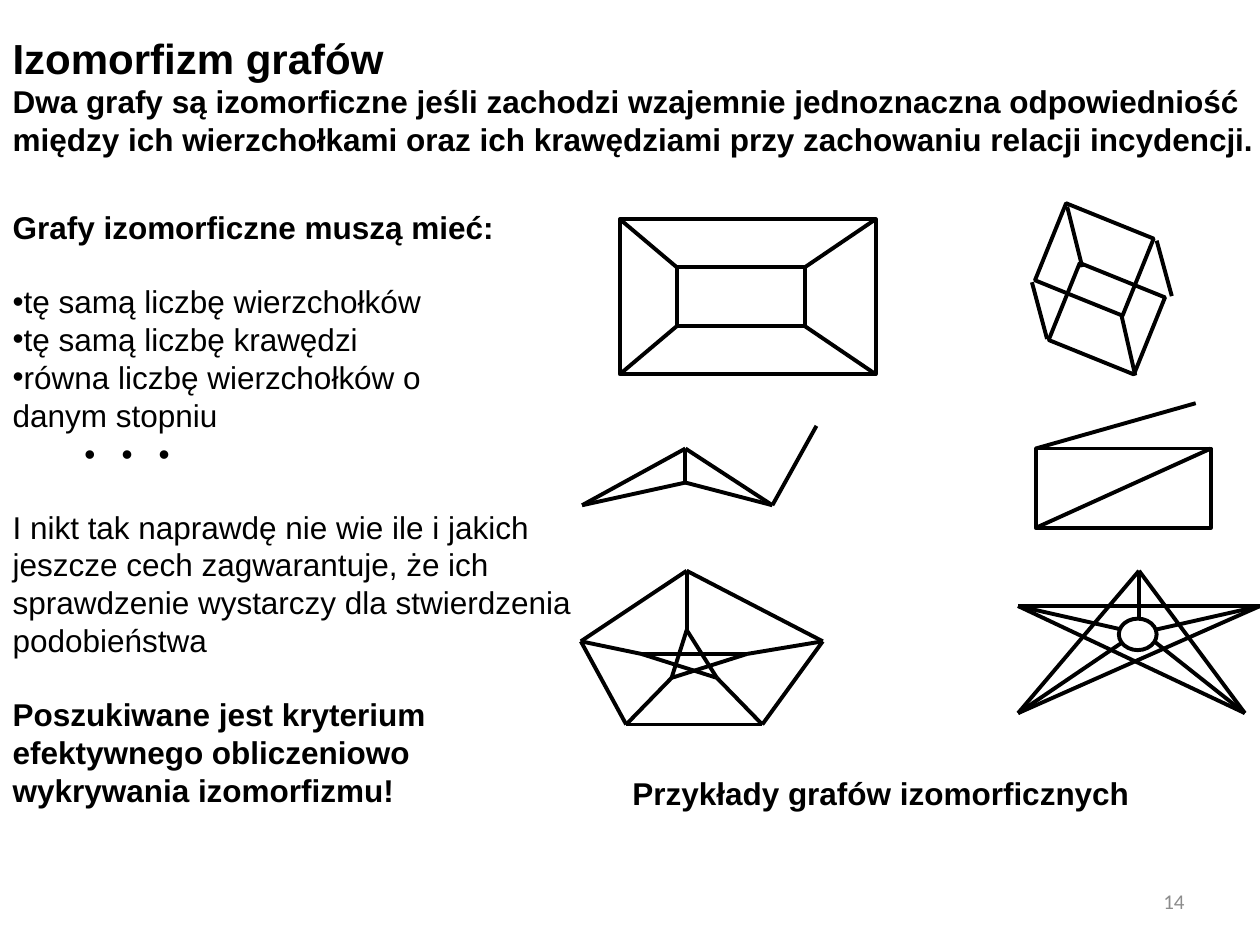
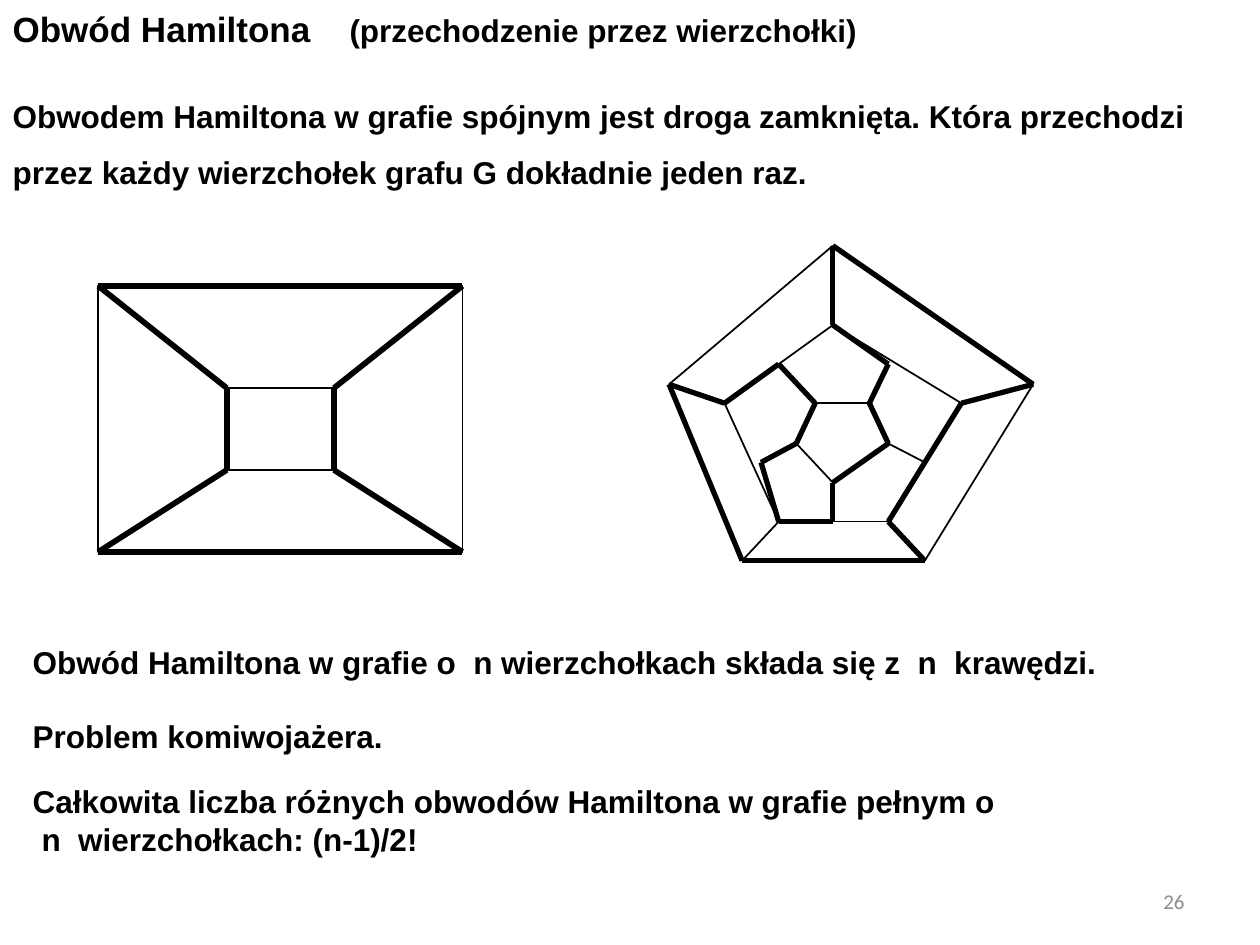
from dataclasses import dataclass

import pptx
import pptx.dml.color
import pptx.enum.shapes
import pptx.enum.text
import pptx.oxml.ns
import pptx.util
from lxml import etree

Inches = pptx.util.Inches
Pt = pptx.util.Pt
Shape = pptx.enum.shapes.MSO_SHAPE
Anchor = pptx.enum.text.MSO_ANCHOR
Align = pptx.enum.text.PP_ALIGN
qn = pptx.oxml.ns.qn

BLACK, WHITE, GREY = "000000", "FFFFFF", "8C8C8C"
TITLE_AND_CONTENT = 1
BLANK_LINE = 20.7  # height of an 18 pt line, in points


@dataclass
class Line:
    text: str
    size: float = 18
    bold: bool = True
    gap: float = 0
    spacing: float = 1.0
    bullet: bool = False
    indent: float = 0
    tracking: float = 0


def color(hex_code):
    return pptx.dml.color.RGBColor.from_string(hex_code)


# Text
def style_run(run, size=18, bold=True, font="Arial", ink=BLACK, tracking=0):
    run.font.size = Pt(size)
    run.font.bold = bold
    run.font.name = font
    run.font.color.rgb = color(ink)
    if tracking:
        run.font._element.set("spc", str(round(tracking * 100)))


def set_bullet(paragraph, bullet, indent):
    properties = paragraph._p.get_or_add_pPr()
    properties.set("marL", str(Inches(indent)))
    properties.set("indent", "0")
    if bullet:
        etree.SubElement(properties, qn("a:buChar")).set("char", "•")
    else:
        etree.SubElement(properties, qn("a:buNone"))


def write_lines(frame, lines):
    for number, line in enumerate(lines):
        paragraph = frame.paragraphs[0] if number == 0 else frame.add_paragraph()
        paragraph.text = line.text
        paragraph.alignment = Align.LEFT
        paragraph.line_spacing = line.spacing
        paragraph.space_before = Pt(line.gap)
        set_bullet(paragraph, line.bullet, line.indent)
        style_run(paragraph.runs[0], line.size, line.bold, tracking=line.tracking)


def place(holder, box, anchor=Anchor.MIDDLE, top=0.05, bottom=0.05):
    holder.left, holder.top, holder.width, holder.height = map(Inches, box)
    frame = holder.text_frame
    frame.auto_size = pptx.enum.text.MSO_AUTO_SIZE.NONE
    frame.word_wrap = True
    frame.vertical_anchor = anchor
    frame.margin_top, frame.margin_bottom = Inches(top), Inches(bottom)
    return frame


def add_title(slide, box, lines):
    frame = place(slide.shapes.title, box, bottom=0)
    write_lines(frame, lines)
    return frame


def add_body(slide, box, lines, **layout):
    write_lines(place(slide.placeholders[1], box, **layout), lines)


def add_page_number(slide, number):
    frame = place(slide.shapes.add_textbox(0, 0, 0, 0), (7.17, 6.95, 2.33, 0.4))
    frame.text = str(number)
    frame.paragraphs[0].alignment = Align.RIGHT
    style_run(frame.paragraphs[0].runs[0], 12, False, "Calibri", GREY)


# Graph drawing
def start_drawing(slide):
    return slide.shapes.add_group_shape().shapes


def add_outline(drawing, kind, box, weight=2.25, filled=True, rotation=0):
    outline = drawing.add_shape(kind, *map(Inches, box))
    outline.shadow.inherit = False
    outline.rotation = rotation
    outline.line.color.rgb = color(BLACK)
    outline.line.width = Pt(weight)
    if filled:
        outline.fill.solid()
        outline.fill.fore_color.rgb = color(WHITE)
    else:
        outline.fill.background()


def add_edge(drawing, start, end, weight):
    edge = drawing.add_connector(pptx.enum.shapes.MSO_CONNECTOR.STRAIGHT,
                                 *map(Inches, (*start, *end)))
    edge.line.color.rgb = color(BLACK)
    edge.line.width = Pt(weight)
    etree.SubElement(edge._element.spPr, qn("a:effectLst"))


def add_trails(drawing, vertices, trails, weight=2.25):
    """Join neighbouring letters of every trail, e.g. "abc de"."""
    for trail in trails.split():
        for start, end in zip(trail, trail[1:]):
            add_edge(drawing, vertices[start], vertices[end], weight)


def add_nested_rectangles(drawing, outer, inner, weight):
    """Draw two rectangles; return corners a-d (outer) and e-h (inner), clockwise."""
    corners = []
    for left, top, width, height in (outer, inner):
        add_outline(drawing, Shape.RECTANGLE, (left, top, width, height), weight)
        right, bottom = left + width, top + height
        corners += [(left, top), (right, top), (right, bottom), (left, bottom)]
    return dict(zip("abcdefgh", corners))


# Slide: isomorphism
def draw_cube_pair(slide):
    drawing = start_drawing(slide)
    corners = add_nested_rectangles(
        drawing, (4.92, 1.74, 2.03, 1.23), (5.37, 2.12, 1.02, 0.47), 2.25)
    add_trails(drawing, corners, "ae bf cg dh")

    add_outline(drawing, Shape.RECTANGLE, (8.31, 1.73, 0.75, 0.66), rotation=22)
    add_outline(drawing, Shape.RECTANGLE, (8.42, 2.2, 0.73, 0.66),
                filled=False, rotation=22)
    cube = {"a": (8.19, 2.24), "b": (8.31, 2.69), "c": (8.47, 1.64), "d": (8.59, 2.12),
            "e": (9.18, 1.91), "f": (9.3, 2.35), "g": (8.9, 2.5), "h": (9.01, 2.98)}
    add_trails(drawing, cube, "ab cd ef gh")


def draw_kite_pair(slide):
    drawing = start_drawing(slide)
    kite = {"a": (5.44, 3.56), "b": (4.62, 4.01), "c": (5.44, 3.83),
            "d": (6.13, 4.01), "e": (6.48, 3.38)}
    add_trails(drawing, kite, "abcade cd")

    add_outline(drawing, Shape.RECTANGLE, (8.22, 3.56, 1.39, 0.63))
    box = {"a": (9.61, 3.56), "b": (8.22, 4.19), "c": (9.49, 3.2), "d": (8.22, 3.56)}
    add_trails(drawing, box, "ab cd")


def draw_petersen_pair(slide):
    drawing = start_drawing(slide)
    # a-e: outer pentagon, f-j: inner star
    pentagon = {"a": (5.45, 4.53), "b": (6.53, 5.09), "c": (6.05, 5.75),
                "d": (4.97, 5.75), "e": (4.61, 5.09),
                "f": (5.45, 5), "g": (5.93, 5.19), "h": (5.69, 5.38),
                "i": (5.33, 5.38), "j": (5.09, 5.19)}
    add_trails(drawing, pentagon, "abcdea fhjgif af bg ch di ej")

    # a-e: star points, f-j: ends of the spokes at the hub
    star = {"a": (9.04, 4.53), "b": (10, 4.81), "c": (9.88, 5.66),
            "d": (8.08, 5.66), "e": (8.08, 4.81),
            "f": (9.04, 4.91), "g": (9.16, 5), "h": (9.16, 5.09),
            "i": (8.92, 5.09), "j": (8.92, 5)}
    add_trails(drawing, star, "acebda af bg ch di ej")
    add_outline(drawing, Shape.OVAL, (8.88, 4.91, 0.3, 0.25))


def build_isomorphism(slide):
    add_title(slide, (0, 0, 10.23, 1.26), [
        Line("Izomorfizm grafów", size=24, spacing=1.5),
        Line("Dwa grafy są izomorficzne jeśli zachodzi wzajemnie jednoznaczna "
             "odpowiedniość między ich wierzchołkami oraz ich krawędziami przy "
             "zachowaniu relacji incydencji."),
    ])
    add_body(slide, (0, 1.56, 4.84, 4.95), [
        Line("Grafy izomorficzne muszą mieć:"),
        Line("tę samą liczbę wierzchołków", bold=False, bullet=True, gap=BLANK_LINE),
        Line("tę samą liczbę krawędzi", bold=False, bullet=True),
        Line("równa liczbę wierzchołków o", bold=False, bullet=True),
        Line("danym stopniu", bold=False),
        Line("• • •", bold=False, indent=0.57, tracking=5),
        Line("I nikt tak naprawdę nie wie ile i jakich", bold=False, gap=BLANK_LINE),
        Line("jeszcze cech zagwarantuje, że ich", bold=False),
        Line("sprawdzenie wystarczy dla stwierdzenia podobieństwa", bold=False),
        Line("Poszukiwane jest kryterium efektywnego obliczeniowo", gap=BLANK_LINE),
        Line("wykrywania izomorfizmu!"),
    ])
    draw_cube_pair(slide)
    draw_kite_pair(slide)
    draw_petersen_pair(slide)
    caption = place(slide.shapes.add_textbox(0, 0, 0, 0), (4.92, 6.09, 4.18, 0.4),
                    Anchor.TOP)
    caption.word_wrap = False
    write_lines(caption, [Line("Przykłady grafów izomorficznych")])
    add_page_number(slide, 14)


# Slide: Hamiltonian circuit
def draw_cube_circuit(slide):
    drawing = start_drawing(slide)
    corners = add_nested_rectangles(
        drawing, (0.78, 2.27, 2.89, 2.11), (1.8, 3.08, 0.85, 0.65), 1)
    add_trails(drawing, corners, "abfgcdhea", 3.25)


def draw_dodecahedron_circuit(slide):
    drawing = start_drawing(slide)
    # a-e: outer ring, f-j: middle ring, k-o: between, p-t: inner ring
    vertices = {
        "a": (6.61, 1.95), "b": (8.2, 3.05), "c": (7.34, 4.45), "d": (5.89, 4.45),
        "e": (5.31, 3.05),
        "f": (6.61, 2.58), "g": (7.63, 3.2), "h": (7.05, 4.14), "i": (6.18, 4.14),
        "j": (5.75, 3.2),
        "k": (7.05, 2.89), "l": (7.34, 3.67), "m": (6.61, 4.14), "n": (6.04, 3.67),
        "o": (6.18, 2.89),
        "p": (6.9, 3.2), "q": (7.05, 3.52), "r": (6.61, 3.83), "s": (6.32, 3.52),
        "t": (6.47, 3.2)}
    rings = "abcdea fghijf pqrstp"
    spokes = "af bg ch di ej kp lq mr ns ot"
    add_trails(drawing, vertices, f"{rings} {spokes}", 1)
    add_trails(drawing, vertices, "otsnimrqpkfabghcdejo", 3)


def build_hamilton(slide):
    title = add_title(slide, (0, 0, 9.77, 1.53), [
        Line("Obwód Hamiltona", size=20),
        Line("Obwodem Hamiltona w grafie spójnym jest droga zamknięta. Która "
             "przechodzi przez każdy wierzchołek grafu G dokładnie jeden raz.",
             spacing=1.5, gap=16),
    ])
    for text, tracking in ((" ", 17.2), ("(przechodzenie przez wierzchołki)", 0)):
        run = title.paragraphs[0].add_run()
        run.text = text
        style_run(run, tracking=tracking)
    add_body(slide, (0.16, 5, 9.22, 2.15), [
        Line("Obwód Hamiltona w grafie o  n wierzchołkach składa się z  n  krawędzi."),
        Line("Problem komiwojażera.", gap=BLANK_LINE),
        Line("Całkowita liczba różnych obwodów Hamiltona w grafie pełnym o", gap=16),
        Line("n  wierzchołkach: (n-1)/2!", indent=0.07),
    ], anchor=Anchor.TOP, top=0.1)
    draw_cube_circuit(slide)
    draw_dodecahedron_circuit(slide)
    add_page_number(slide, 26)


def main():
    deck = pptx.Presentation()
    deck.slide_width, deck.slide_height = Inches(10), Inches(7.5)
    for build in (build_isomorphism, build_hamilton):
        build(deck.slides.add_slide(deck.slide_layouts[TITLE_AND_CONTENT]))
    deck.save("out.pptx")


if __name__ == "__main__":
    main()
